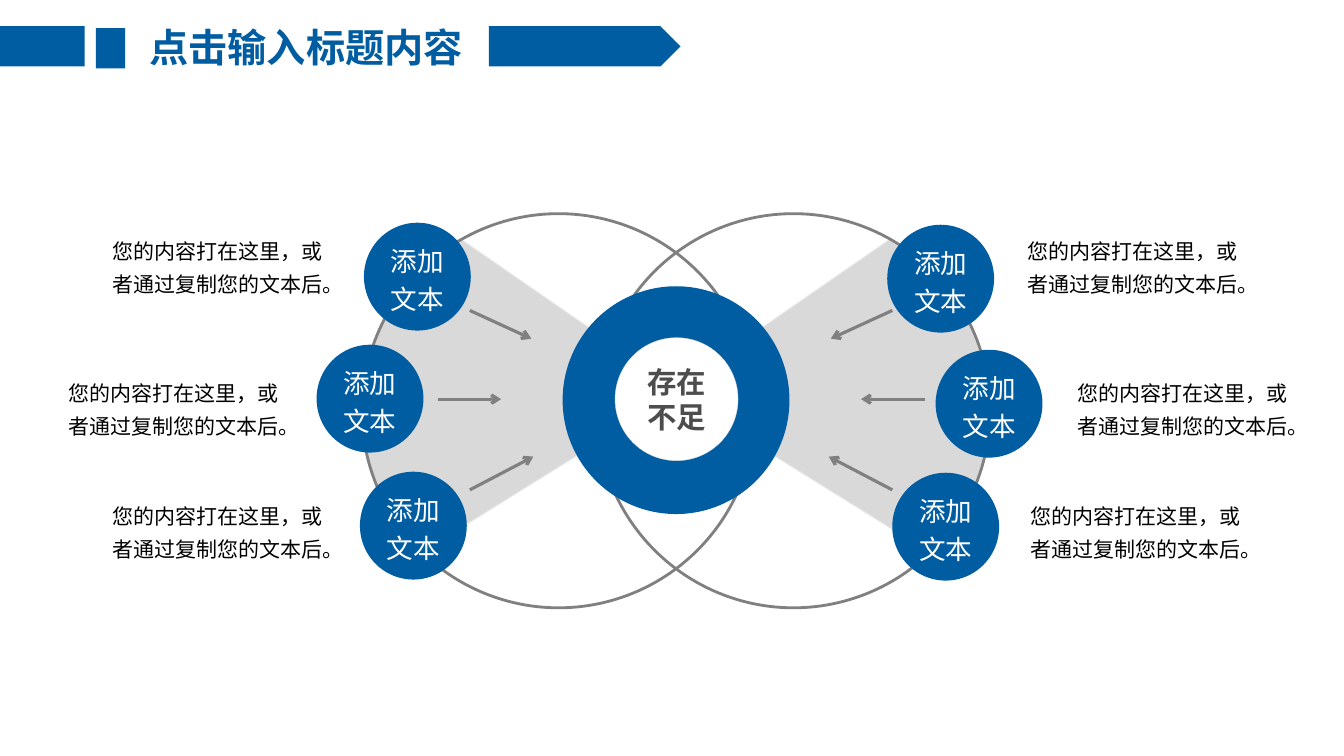
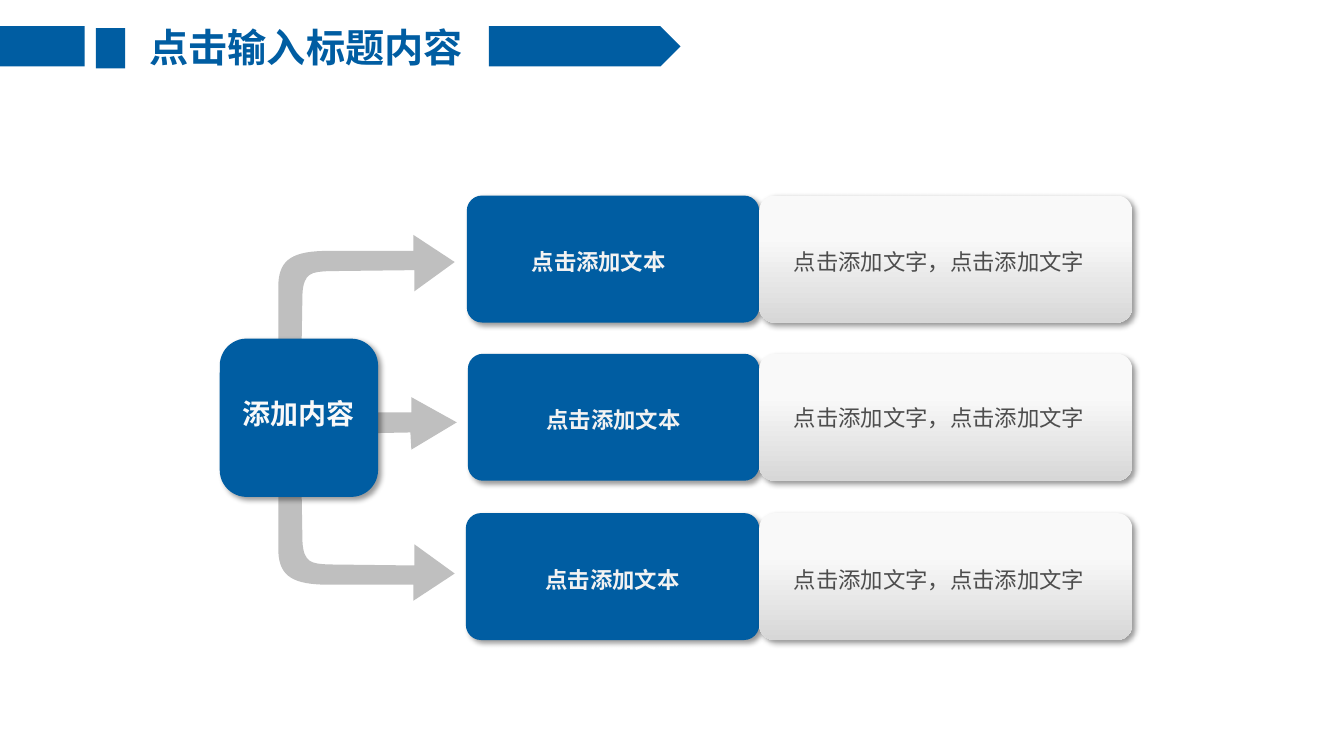
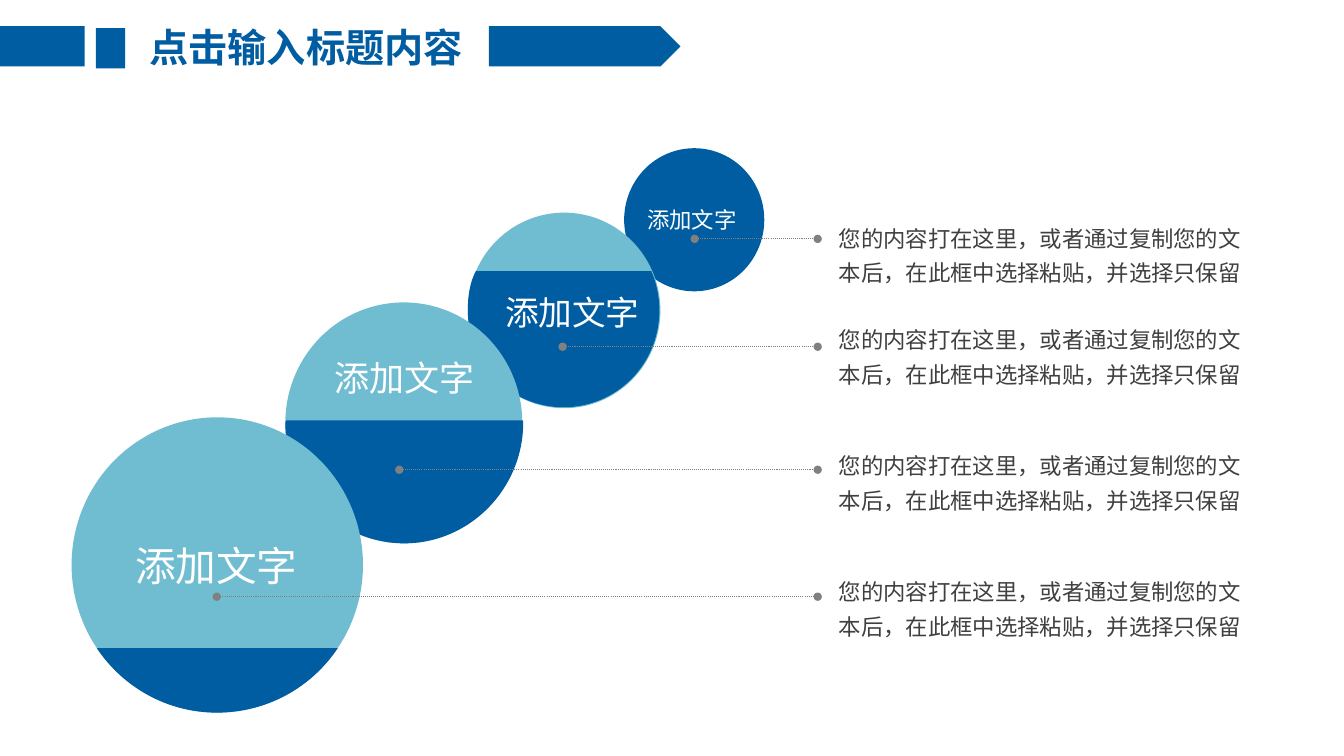
from lxml.etree import SubElement
from pptx import Presentation
from pptx.dml.color import RGBColor
from pptx.enum.dml import MSO_LINE as Dash
from pptx.enum.shapes import MSO_CONNECTOR as Link, MSO_SHAPE as Kind
from pptx.enum.text import MSO_ANCHOR as Anchor, PP_ALIGN as Align
from pptx.oxml.ns import qn
from pptx.util import Inches, Pt

BLUE = RGBColor(0x00, 0x5D, 0xA2)
TEAL = RGBColor(0x70, 0xBD, 0xD2)
WHITE = RGBColor(0xFF, 0xFF, 0xFF)
BLACK = RGBColor(0x00, 0x00, 0x00)
GRAY = RGBColor(0x80, 0x80, 0x80)
DARK = RGBColor(0x4D, 0x4D, 0x4D)
INK = RGBColor(0x40, 0x40, 0x40)
SILVER = RGBColor(0xBF, 0xBF, 0xBF)
FAN = RGBColor(0xD9, 0xD9, 0xD9)
EDGE = RGBColor(0xE6, 0xE6, 0xE6)
SHADE = RGBColor(0xD7, 0xD7, 0xD7)
PALE = RGBColor(0xF9, 0xF9, 0xF9)
LIGHT = RGBColor(0xF2, 0xF2, 0xF2)
CJK = "Noto Sans CJK SC"
PAD = (0.1, 0.05, 0.1, 0.05)
WIDE = (0.11, 0.05, 0.11, 0.05)


def write(shape, text, size, color, bold=False, align=Align.CENTER, space=None,
          font=CJK, pad=PAD, anchor=Anchor.MIDDLE, wrap=True):
    """Put one formatted run of text in a shape."""
    frame = shape.text_frame
    frame.word_wrap = wrap
    frame.vertical_anchor = anchor
    (frame.margin_left, frame.margin_top,
     frame.margin_right, frame.margin_bottom) = map(Inches, pad)
    para = frame.paragraphs[0]
    para.alignment = align
    if space:
        para.line_spacing = space
    run = para.add_run()
    run.text = text
    run.font.size = Pt(size)
    run.font.bold = bold
    run.font.color.rgb = color
    run.font.name = font
    SubElement(run.font._element, qn("a:ea"), typeface=CJK)


def paint(shape, fill=None, line=None, width=1):
    """Set the fill and outline and drop the shadow."""
    shape.shadow.inherit = False
    if fill is None:
        shape.fill.background()
    else:
        shape.fill.solid()
        shape.fill.fore_color.rgb = fill
    if line is None:
        shape.line.fill.background()
    else:
        shape.line.color.rgb = line
        shape.line.width = Pt(width)


def add(slide, kind, box, *look):
    """Add a painted preset shape."""
    shape = slide.shapes.add_shape(kind, *map(Inches, box))
    paint(shape, *look)
    return shape


def label(slide, box, text, size, color, **style):
    """Add a left-aligned text box."""
    shape = slide.shapes.add_textbox(*map(Inches, box))
    write(shape, text, size, color, align=Align.LEFT, **style)


def pairs(part):
    """Split a flat path part into points."""
    return list(zip(part[::2], part[1::2]))


def mirror(path, across=None, down=None):
    """Reflect a path, given the sum of the old and new coordinates."""
    return [tuple(v for x, y in pairs(part)
                  for v in (across - x if across else x, down - y if down else y))
            for part in path]


def outline(slide, path, *look):
    """Add a closed freeform of points and cubic curves."""
    spots = [(Inches(x), Inches(y)) for part in path for x, y in pairs(part)]
    pen = slide.shapes.build_freeform(*spots[0], scale=1)
    pen.add_line_segments(spots[1:], close=True)
    shape = pen.convert_to_shape()
    lines = iter(list(shape._element.iter(qn("a:lnTo"))))
    for part in path[1:]:
        first = next(lines)
        if len(part) == 6:
            first.tag = qn("a:cubicBezTo")
            for _ in range(2):
                extra = next(lines)
                first.append(extra[0])
                extra.getparent().remove(extra)
    paint(shape, *look)


def rule(slide, start, end, width, tail, head=None, dash=None):
    """Add a gray straight line with end marks."""
    line = slide.shapes.add_connector(Link.STRAIGHT, *map(Inches, start + end))
    line.line.color.rgb = GRAY
    line.line.width = Pt(width)
    if dash:
        line.line.dash_style = dash
    props = line._element.spPr
    stroke = props.find(qn("a:ln"))
    if head:
        SubElement(stroke, qn("a:headEnd"), type=head)
    SubElement(stroke, qn("a:tailEnd"), type=tail)
    SubElement(props, qn("a:effectLst"))


def cast(shape):
    """Give a shape a soft shadow to the lower right."""
    glow = shape._element.spPr.find(qn("a:effectLst"))
    drop = SubElement(glow, qn("a:outerShdw"), blurRad=str(Pt(4)), dist=str(Pt(3)),
                      dir="2700000", algn="tl", rotWithShape="0")
    tone = SubElement(drop, qn("a:srgbClr"), val=str(BLACK))
    SubElement(tone, qn("a:alpha"), val="40000")


def card(slide, box, curve):
    """Add a rounded blue card with a shadow."""
    shape = add(slide, Kind.ROUNDED_RECTANGLE, box, BLUE)
    shape.adjustments[0] = curve
    cast(shape)
    return shape


def fade(shape):
    """Fill a shape with a pale gradient, darker at the bottom."""
    shape.fill.gradient()
    shape.fill.gradient_angle = 270
    for stop, place, color in zip(shape.fill.gradient_stops, (0.33, 1), (PALE, SHADE)):
        stop.position = place
        stop.color.rgb = color


def ball(slide, box, path):
    """Add a teal ellipse with a blue lower part."""
    add(slide, Kind.OVAL, box, TEAL)
    outline(slide, path, BLUE)


def begin(deck):
    """Start a slide with the shared title and bands."""
    slide = deck.slides.add_slide(deck.slide_layouts[5])
    title = slide.shapes.title
    title.left, title.top, title.width, title.height = map(
        Inches, (1.24, 0.19, 3.59, 0.57))
    write(title, "点击输入标题内容", 28, BLUE, bold=True, pad=(0.1, 0, 0.1, 0.02))
    add(slide, Kind.PENTAGON, (4.85, 0.26, 1.9, 0.4), BLUE)
    add(slide, Kind.RECTANGLE, (0, 0.26, 0.84, 0.4), BLUE)
    add(slide, Kind.RECTANGLE, (0.95, 0.28, 0.29, 0.4), BLUE)
    return slide


def rings(deck):
    """Build the two circles that meet in a hub."""
    slide = begin(deck)
    fan = [(9.54, 3.09), (9.23, 2.67, 9.3, 2.7, 8.82, 2.38), (6.65, 3.88),
           (9.22, 5.48), (9.85, 4.72, 9.78, 4.45, 9.81, 4.05),
           (9.79, 3.72, 9.72, 3.38, 9.54, 3.09)]
    outline(slide, fan, FAN, EDGE, 0.75)
    outline(slide, mirror(fan, across=13.4), FAN, EDGE, 0.75)
    for left in (3.59, 5.92):
        add(slide, Kind.OVAL, (left, 2.12, 3.9, 3.91), None, GRAY, 2)
    for x, y, tip, end in ((4.66, 3.08, 5.27, 3.36), (4.34, 3.96, 4.97, 3.96),
                           (4.66, 4.86, 5.29, 4.53)):
        rule(slide, (x, y), (tip, end), 2.25, "arrow")
        rule(slide, (13.51 - x, y), (13.51 - tip, end), 2.25, "arrow")
    core = slide.shapes.add_group_shape()
    add(core, Kind.OVAL, (5.58, 2.84, 2.25, 2.26), BLUE)
    hub = add(core, Kind.OVAL, (6.1, 3.35, 1.22, 1.22), WHITE, SHADE, 0.25)
    write(hub, "存在不足", 21, DARK, bold=True, font="Arial Narrow")
    notes = ((3.61, 2.21, 1.02, 2.24), (8.8, 2.23, 10.09, 2.24),
             (9.28, 3.47, 10.59, 3.65), (8.85, 4.69, 10.12, 4.87),
             (3.14, 3.42, 0.58, 3.65), (3.57, 4.68, 1.02, 4.87))
    for x, y, side, top in notes:
        disc = add(slide, Kind.OVAL, (x, y, 1.06, 1.07), BLUE)
        write(disc, "添加文本", 19, WHITE, space=1.2, font="Arial")
        label(slide, (side, top, 2.29, 0.76), "您的内容打在这里，或者通过复制您的文本后。",
              15, BLACK, space=1.3, anchor=Anchor.TOP)


def branch(deck):
    """Build the hub that leads to three rows of cards."""
    slide = begin(deck)
    elbow = [(2.98, 4.15), (3, 5.37), (3.01, 5.59, 3.1, 5.59, 3.25, 5.6),
             (4.11, 5.61), (4.11, 5.4), (4.51, 5.69), (4.1, 5.96), (4.1, 5.8),
             (4.1, 5.8, 3.52, 5.8, 3.2, 5.8),
             (2.87, 5.79, 2.76, 5.69, 2.76, 5.44), (2.76, 4.12),
             (2.79, 3.91, 2.93, 3.93, 2.98, 4.15)]
    outline(slide, elbow, SILVER)
    outline(slide, [(2.44, 4.32), (4.07, 4.29), (4.08, 4.46), (4.53, 4.19),
                    (4.08, 3.94), (4.08, 4.09), (2.44, 4.1)], SILVER)
    outline(slide, mirror(elbow, down=8.29), SILVER)
    for left, top, align, inset, lift in ((4.63, 1.94, Align.LEFT, 0.6, 0.05),
                                          (4.64, 3.51, Align.CENTER, 0.1, 0.1),
                                          (4.62, 5.09, Align.CENTER, 0.1, 0.05)):
        head = card(slide, (left, top, 7.53 - left, 1.26), 0.12)
        write(head, "点击添加文本", 16, LIGHT, bold=True, align=align, space=1.2,
              pad=(inset, 0.05, 0.1, 0.05))
        body = card(slide, (7.53, top, 3.7, 1.26), 0.12)
        fade(body)
        write(body, "点击添加文字，点击添加文字", 16, DARK, align=Align.LEFT, space=1.2,
              pad=(0.3, 0.05, 0.1, lift))
    hub = card(slide, (2.18, 3.36, 1.57, 1.57), 0.17)
    write(hub, "添加内容", 20, PALE, bold=True, space=1.2, pad=(0.14, 0.05, 0.14, 0.2))


def climb(deck):
    """Build the rising chain of balls with notes."""
    slide = begin(deck)
    add(slide, Kind.OVAL, (6.19, 1.47, 1.39, 1.42), BLUE)
    ball(slide, (4.64, 2.11, 1.91, 1.94),
         [(4.72, 2.69), (6.46, 2.69), (6.51, 2.8, 6.54, 2.94, 6.54, 3.08),
          (6.54, 3.61, 6.12, 4.04, 5.59, 4.04), (5.06, 4.04, 4.64, 3.61, 4.64, 3.08),
          (4.64, 2.94, 4.66, 2.8, 4.72, 2.69)])
    ball(slide, (2.83, 3, 2.35, 2.39),
         [(2.84, 4.17), (5.19, 4.17), (5.19, 4.18, 5.19, 4.18, 5.19, 4.19),
          (5.19, 4.85, 4.66, 5.39, 4.01, 5.39), (3.36, 5.39, 2.83, 4.85, 2.83, 4.19)])
    ball(slide, (0.71, 4.14, 2.89, 2.93),
         [(0.96, 6.43), (3.35, 6.43), (3.09, 6.82, 2.65, 7.07, 2.15, 7.07),
          (1.66, 7.07, 1.22, 6.82, 0.96, 6.43)])
    for box, size, x, y, top in (((6.31, 1.99, 1.11, 0.38), 16, 6.89, 2.37, 2.1),
                                 ((4.9, 2.84, 1.56, 0.51), 24, 5.58, 3.44, 3.11),
                                 ((3.21, 3.48, 1.61, 0.53), 25, 3.96, 4.66, 4.36),
                                 ((1.23, 5.31, 1.84, 0.59), 29, 2.15, 5.92, 5.61)):
        label(slide, box, "添加文字", size, WHITE, pad=WIDE, wrap=False)
        rule(slide, (x, y), (8.11, y), 0.75, "oval", "oval", Dash.ROUND_DOT)
        label(slide, (8.21, top, 4.42, 0.84),
              "您的内容打在这里，或者通过复制您的文本后，在此框中选择粘贴，并选择只保留",
              16, INK, space=1.3, pad=WIDE, anchor=Anchor.TOP)


def main():
    """Build and save the deck."""
    deck = Presentation()
    deck.slide_width, deck.slide_height = Inches(13.33), Inches(7.5)
    rings(deck)
    branch(deck)
    climb(deck)
    deck.save("out.pptx")


if __name__ == "__main__":
    main()
